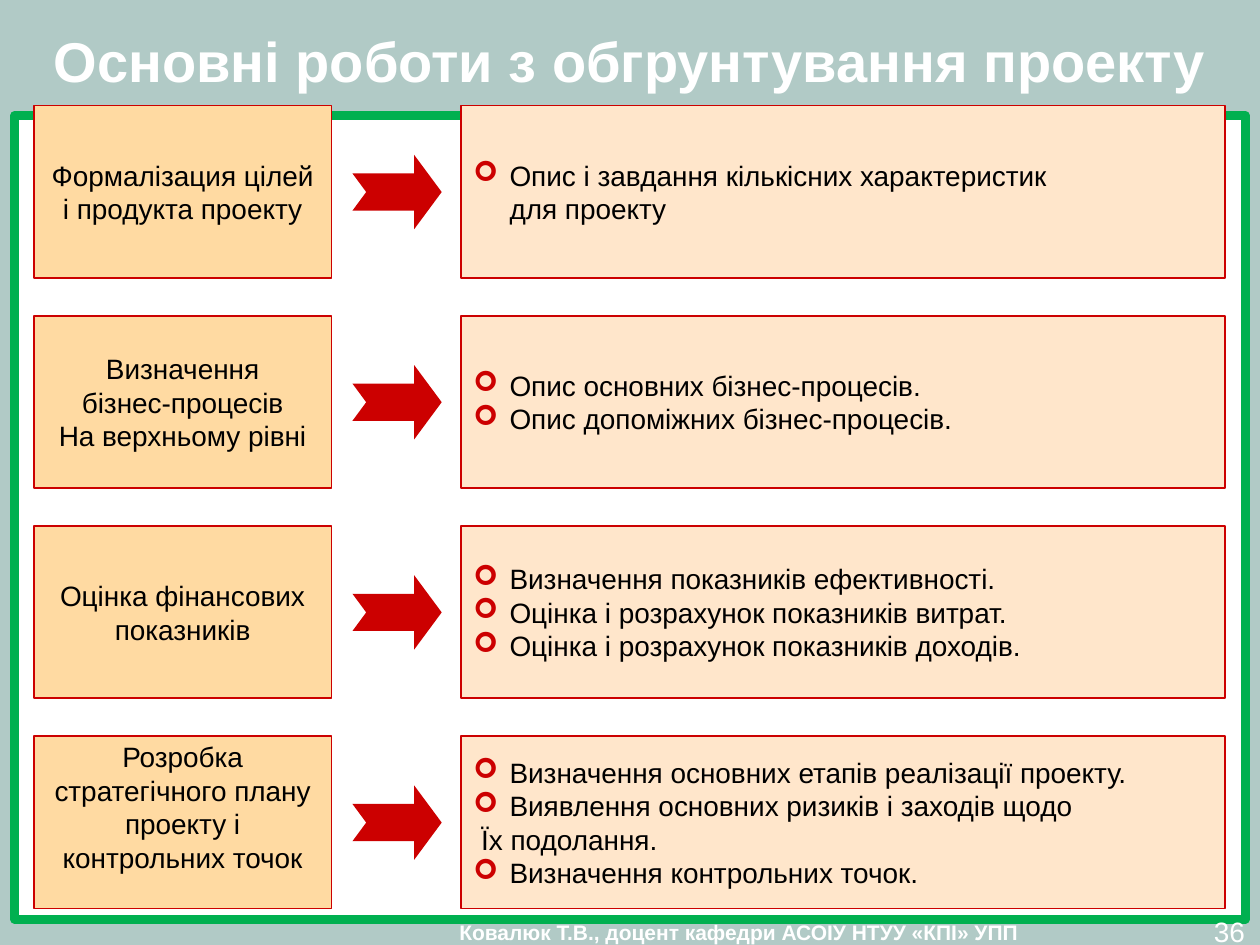
"""Build a slide that maps each project justification task to its results."""
from dataclasses import dataclass

from lxml.etree import SubElement
from pptx import Presentation
from pptx.dml.color import RGBColor
from pptx.enum.shapes import MSO_SHAPE
from pptx.enum.text import MSO_ANCHOR, MSO_AUTO_SIZE, PP_ALIGN
from pptx.oxml.ns import qn
from pptx.shapes.autoshape import Shape
from pptx.slide import Slide
from pptx.text.text import TextFrame
from pptx.util import Pt

RECT, ARROW = MSO_SHAPE.RECTANGLE, MSO_SHAPE.NOTCHED_RIGHT_ARROW
LEFT, CENTER, RIGHT = PP_ALIGN.LEFT, PP_ALIGN.CENTER, PP_ALIGN.RIGHT
TOP, MIDDLE = MSO_ANCHOR.TOP, MSO_ANCHOR.MIDDLE
FIXED = MSO_AUTO_SIZE.NONE

HEX = {
    "back": "B1CAC6", "white": "FFFFFF", "black": "000000", "green": "00B050",
    "red": "CC0000", "task": "FFDAA2", "list": "FFE6CB",
}
FIRST, PITCH, HIGH = 60.3, 120.1, 98.6
HANG = 20.7


@dataclass
class Box:
    x: float
    y: float
    w: float
    h: float

    def place(self) -> tuple:
        return Pt(self.x), Pt(self.y), Pt(self.w), Pt(self.h)


@dataclass
class Row:
    task: list[str]
    items: list[str]
    anchor: MSO_ANCHOR = MIDDLE
    plain: tuple[int, ...] = ()


ROWS = [
    Row(["Формалізация цілей", "і продукта проекту"],
        ["Опис і завдання кількісних характеристик\vдля проекту"]),
    Row(["Визначення", "бізнес-процесів", "На верхньому рівні"],
        ["Опис основних бізнес-процесів.", "Опис допоміжних бізнес-процесів."]),
    Row(["Оцінка фінансових", "показників"],
        ["Визначення показників ефективності.",
         "Оцінка і розрахунок показників витрат.",
         "Оцінка і розрахунок показників доходів."]),
    Row(["Розробка", "стратегічного плану", "проекту і", "контрольних точок"],
        ["Визначення основних етапів реалізації проекту.",
         "Виявлення основних ризиків і заходів щодо",
         "Їх подолання.",
         "Визначення контрольних точок."], TOP, (2,)),
]


def color(name: str) -> RGBColor:
    """Return the named colour."""
    return RGBColor.from_string(HEX[name])


def write(frame: TextFrame, lines: list[str], tint: str = "black", size: int = 16,
          bold: bool = False, align: PP_ALIGN = CENTER, **form) -> None:
    """Fill a text frame with one paragraph per line."""
    base = {"word_wrap": True, "auto_size": FIXED, "vertical_anchor": MIDDLE}
    for key, value in (base | form).items():
        setattr(frame, key, value)
    frame.text = "\n".join(lines)
    face = {"name": "Arial", "size": Pt(size), "bold": bold}
    for para in frame.paragraphs:
        para.alignment = align
        for stop in para._p.findall(qn("a:br")):
            SubElement(stop, qn("a:rPr")).set("sz", str(size * 100))
        for run in para.runs:
            for key, value in face.items():
                setattr(run.font, key, value)
            run.font.color.rgb = color(tint)


def mark(frame: TextFrame, plain: tuple[int, ...]) -> None:
    """Put red arrow bullets on all paragraphs but the plain ones."""
    for place, para in enumerate(frame.paragraphs):
        props = para._p.get_or_add_pPr()
        if place in plain:
            props.set("indent", str(Pt(4.5)))
            continue
        props.set("marL", str(Pt(HANG)))
        props.set("indent", str(Pt(-HANG)))
        tint = SubElement(props, qn("a:buClr"))
        SubElement(tint, qn("a:srgbClr")).set("val", HEX["red"])
        SubElement(props, qn("a:buFont")).set("typeface", "Wingdings")
        SubElement(props, qn("a:buChar")).set("char", "➢")


def draw(slide: Slide, kind: MSO_SHAPE, box: Box, fill: str,
         line: str = "", width: float = 1) -> Shape:
    """Add a flat preset shape."""
    shape = slide.shapes.add_shape(kind, *box.place())
    shape.shadow.inherit = False
    shape.fill.solid()
    shape.fill.fore_color.rgb = color(fill)
    if line:
        shape.line.color.rgb = color(line)
        shape.line.width = Pt(width)
    else:
        shape.line.fill.background()
    return shape


def add_row(slide: Slide, row: Row, y: float) -> None:
    """Draw a task, its arrow and its list of results."""
    task = draw(slide, RECT, Box(19.4, y, 170, HIGH), "task", "red")
    form = {"margin_top": Pt(2)} if row.anchor == TOP else {}
    write(task.text_frame, row.task, vertical_anchor=row.anchor, **form)
    arrow = draw(slide, ARROW, Box(201.4, y + 28.2, 51, 42.5), "red")
    arrow.adjustments[0], arrow.adjustments[1] = 0.5, 0.37
    goal = draw(slide, RECT, Box(263.4, y, 436.8, HIGH), "list", "red")
    write(goal.text_frame, row.items, align=LEFT)
    mark(goal.text_frame, row.plain)


def add_note(slide: Slide, box: Box, text: str, **form) -> None:
    """Add a white line of text at the foot of the slide."""
    note = slide.shapes.add_textbox(*box.place())
    write(note.text_frame, [text], "white", vertical_anchor=TOP, **form)


def main() -> None:
    """Build and save the slide."""
    deck = Presentation()
    deck.slide_width, deck.slide_height = Pt(720), Pt(540)
    slide = deck.slides.add_slide(deck.slide_layouts[5])
    slide.background.fill.solid()
    slide.background.fill.fore_color.rgb = color("back")

    title = slide.shapes.title
    spot = Box(0, 0, 720, 68.4).place()
    for key, value in zip(("left", "top", "width", "height"), spot):
        setattr(title, key, value)
    write(title.text_frame, ["Основні роботи з обгрунтування проекту"],
          "white", 32, True)

    draw(slide, RECT, Box(8.4, 66, 703.2, 459.4), "white", "green", 5)
    for place, row in enumerate(ROWS):
        add_row(slide, row, FIRST + place * PITCH)
    add_note(slide, Box(184.3, 525.6, 476, 14.4),
             "Ковалюк Т.В., доцент кафедри АСОІУ НТУУ «КПІ» УПП",
             size=12, bold=True, margin_top=0, margin_bottom=0)
    add_note(slide, Box(677.5, 519.1, 41, 20.9), "36", align=RIGHT)
    deck.save("out.pptx")


if __name__ == "__main__":
    main()
